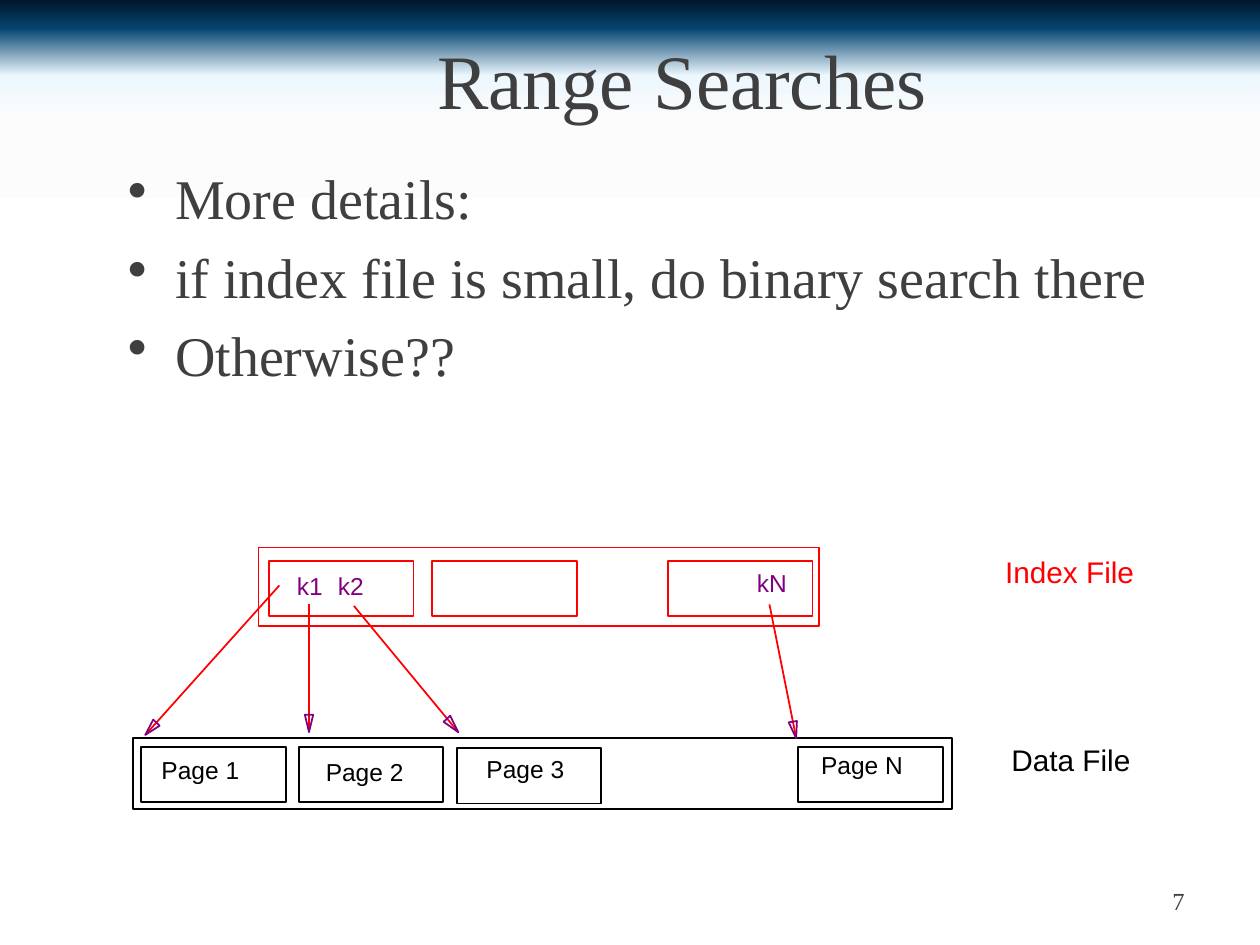
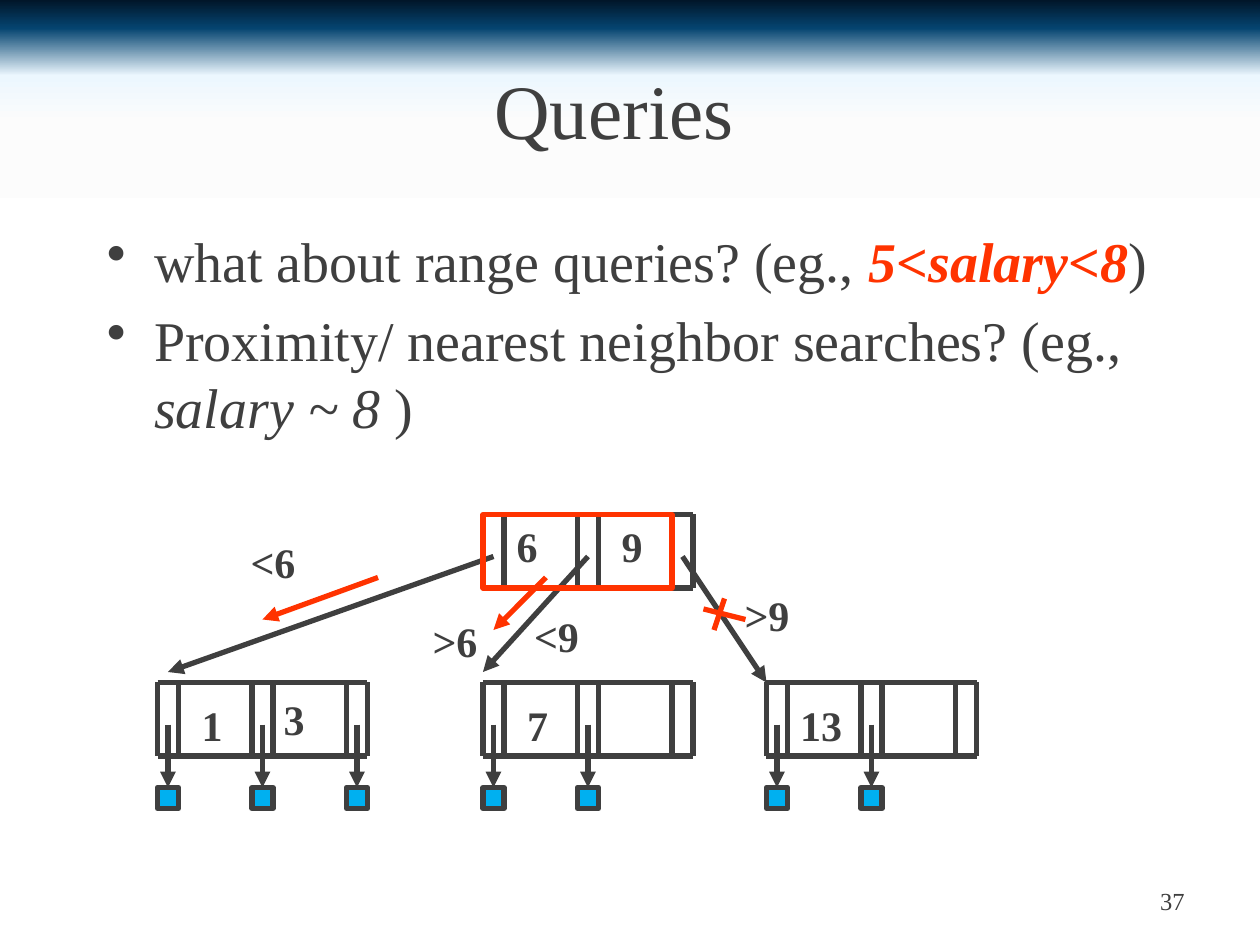
"""Build two slides on range searches: an index file over data pages and a tree query."""
from lxml import etree
from pptx import Presentation
from pptx.dml.color import RGBColor
from pptx.enum.shapes import MSO_CONNECTOR, MSO_SHAPE
from pptx.enum.text import MSO_ANCHOR, MSO_AUTO_SIZE, PP_ALIGN
from pptx.oxml.ns import qn
from pptx.util import Pt

COLORS = {
    "text": "3F3F3F", "black": "000000", "red": "FF0000", "purple": "800080",
    "accent": "FF3300", "record": "00B0F0",
}
RGB = {name: RGBColor.from_string(value) for name, value in COLORS.items()}
BACKGROUND_STOPS = [(0, "011629"), (3, "054470"), (8, "ECF7FE"),
                    (13, "FCFCFC"), (21, "FFFFFF"), (98, "FFFFFF")]
SERIF = {"name": "Times New Roman"}
TITLE = {**SERIF, "size": Pt(44)}
BODY = {**SERIF, "size": Pt(32)}
FOOTER = {**SERIF, "size": Pt(14)}
KEY = {**SERIF, "size": Pt(24), "bold": True}
LABEL = {"name": "Arial", "size": Pt(14)}
FILE_LABEL = {"name": "Arial", "size": Pt(17)}


def add_text(slide, box, paragraphs, style, color="text", align=PP_ALIGN.LEFT,
             anchor=MSO_ANCHOR.TOP, wrap=True, bullet=False):
    """Add a text box; each paragraph is a list of (text, color, extra style) runs."""
    frame = slide.shapes.add_textbox(*map(Pt, box)).text_frame
    frame.word_wrap = wrap
    frame.vertical_anchor = anchor
    frame.auto_size = MSO_AUTO_SIZE.NONE if wrap else MSO_AUTO_SIZE.SHAPE_TO_FIT_TEXT
    for index, runs in enumerate(paragraphs):
        paragraph = frame.paragraphs[0] if index == 0 else frame.add_paragraph()
        paragraph.alignment = align
        if bullet:
            properties = paragraph._p.get_or_add_pPr()
            properties.set("marL", str(Pt(27)))
            properties.set("indent", str(-Pt(27)))
            etree.SubElement(properties, qn("a:buChar"), char="•")
            if index:
                paragraph.space_before = Pt(6.4)
        for text, run_color, extra in runs:
            run = paragraph.add_run()
            run.text = text
            for name, value in {**style, **extra}.items():
                setattr(run.font, name, value)
            run.font.color.rgb = RGB[run_color or color]


def add_line(slide, start, end, color, width=3, arrow=False):
    """Add a straight connector from start to end, with an optional arrowhead."""
    line = slide.shapes.add_connector(MSO_CONNECTOR.STRAIGHT, *map(Pt, (*start, *end)))
    line.line.color.rgb = RGB[color]
    line.line.width = Pt(width)
    if arrow:
        etree.SubElement(line.line._get_or_add_ln(), qn("a:tailEnd"), type="triangle")
    etree.SubElement(line._element.spPr, qn("a:effectLst"))
    return line


presentation = Presentation()
presentation.slide_width, presentation.slide_height = Pt(720), Pt(540)

background = presentation.slide_master.background.fill
background.gradient()
gradient = background._xPr.find(qn("a:gradFill"))
for child in list(gradient):
    gradient.remove(child)
stops = etree.SubElement(gradient, qn("a:gsLst"))
for position, color in BACKGROUND_STOPS:
    stop = etree.SubElement(stops, qn("a:gs"), pos=str(position * 1000))
    etree.SubElement(stop, qn("a:srgbClr"), val=color)
etree.SubElement(gradient, qn("a:lin"), ang="5400000", scaled="0")

PAGES = [
    {"title": "Range Searches", "title_box": (84, 0, 612, 90), "number": "7",
     "body_box": (66, 90, 624, 396),
     "body": [[("More details:", None, {})],
              [("if index file is small, do binary search there", None, {})],
              [("Otherwise??", None, {})]]},
    {"title": "Queries", "title_box": (12, 21.6, 678, 81), "number": "37",
     "body_box": (54, 126, 642, 324),
     "body": [[("what about range queries? (eg., ", None, {}),
               ("5<salary<8", "accent", {"bold": True, "italic": True}),
               (")", None, {})],
              [("Proximity/ nearest neighbor searches? (eg., ", None, {}),
               ("salary ~ 8", None, {"italic": True}),
               (" )", None, {})]]},
]
slides = []
for page in PAGES:
    slide = presentation.slides.add_slide(presentation.slide_layouts[6])
    add_text(slide, (516, 500.4, 168, 28.8), [[(page["number"], None, {})]], FOOTER,
             align=PP_ALIGN.RIGHT, anchor=MSO_ANCHOR.MIDDLE)
    add_text(slide, page["title_box"], [[(page["title"], None, {})]], TITLE,
             align=PP_ALIGN.CENTER, anchor=MSO_ANCHOR.MIDDLE)
    add_text(slide, page["body_box"], page["body"], BODY, bullet=True)
    slides.append(slide)
range_slide, query_slide = slides

BLOCK_SIZE = (82.6, 31.5)
file_boxes = [("black", (76.2, 421.9, 467.8, 40.3)), ("red", (147.7, 312.9, 320.4, 45))]
file_boxes += [("black", (left, top, *BLOCK_SIZE)) for left, top in
               [(80.7, 427), (170.7, 427), (261, 427.6), (456.2, 427)]]
file_boxes += [("red", (left, 320.6, *BLOCK_SIZE)) for left in (153.8, 247, 381.8)]
for color, box in file_boxes:
    shape = range_slide.shapes.add_shape(MSO_SHAPE.RECTANGLE, *map(Pt, box))
    shape.shadow.inherit = False
    shape.fill.background()
    shape.line.color.rgb = RGB[color]
    shape.line.width = Pt(1)

file_pointers = [
    ((439.7, 345.4), (455, 421.9), [(455.4, 412), (450.7, 412.8)]),
    ((176.6, 344.9), (176.6, 418.4), [(179, 408.4), (174.2, 408.4)]),
    ((202.2, 346.2), (261.9, 418.4), [(257.3, 409), (253.5, 412.5)]),
    ((159.6, 334.6), (83, 420), [(91.2, 414.8), (87.6, 411.2)]),
]
for start, tip, wings in file_pointers:
    add_line(range_slide, start, tip, "red", width=1)
    builder = range_slide.shapes.build_freeform(*map(Pt, tip), scale=1.0)
    builder.add_line_segments([tuple(map(Pt, wing)) for wing in wings], close=True)
    head = builder.convert_to_shape()
    head.shadow.inherit = False
    head.fill.background()
    head.line.color.rgb = RGB["purple"]
    head.line.width = Pt(1)

file_labels = [
    ("Page 1", (85.2, 427.7, 59.8, 23.8), LABEL, "black"),
    ("Page 2", (179.1, 428.9, 59.8, 23.8), LABEL, "black"),
    ("Page 3", (270.9, 427.1, 59.8, 23.8), LABEL, "black"),
    ("Page N", (462.1, 424.8, 61.9, 23.8), LABEL, "black"),
    ("k1", (162.5, 322.5, 30.2, 23.8), LABEL, "purple"),
    ("k2", (186, 322.5, 30.2, 23.8), LABEL, "purple"),
    ("kN", (425.4, 320.9, 32.4, 23.8), LABEL, "purple"),
    ("Data File", (570.8, 420.5, 85.7, 27.4), FILE_LABEL, "black"),
    ("Index File", (567.2, 312.9, 92.9, 27.4), FILE_LABEL, "red"),
]
for text, box, style, color in file_labels:
    add_text(range_slide, box, [[(text, None, {})]], style, color, wrap=False)

NODE_WIDTH, NODE_HEIGHT, SLOT_WIDTH, SLOT_PITCH = 120, 42, 12, 54
ROOT_TOP, LEAF_TOP, RECORD_TOP = 294, 390, 450
nodes = [(276, ROOT_TOP, 0), (438, LEAF_TOP, 2), (276, LEAF_TOP, 2), (90, LEAF_TOP, 3)]
for left, top, record_count in nodes:
    bottom = top + NODE_HEIGHT
    for slot in range(3):
        for x in (left + slot * SLOT_PITCH, left + slot * SLOT_PITCH + SLOT_WIDTH):
            add_line(query_slide, (x, top), (x, bottom), "text")
    for y in (top, bottom):
        add_line(query_slide, (left, y), (left + NODE_WIDTH, y), "text")
    for slot in range(record_count):
        x = left + slot * SLOT_PITCH
        record = query_slide.shapes.add_shape(
            MSO_SHAPE.RECTANGLE, *map(Pt, (x, RECORD_TOP, SLOT_WIDTH, SLOT_WIDTH)))
        record.shadow.inherit = False
        record.fill.solid()
        record.fill.fore_color.rgb = RGB["record"]
        record.line.color.rgb = RGB["text"]
        record.line.width = Pt(3)
        middle = x + SLOT_WIDTH / 2
        pointer = add_line(query_slide, (middle, 414), (middle, RECORD_TOP), "text", arrow=True)
        pointer.end_connect(record, 0)

for start, end in [((282, 318), (96, 384)), ((336, 318), (276, 384)), ((390, 318), (438, 390))]:
    add_line(query_slide, start, end, "text", arrow=True)

tree_labels = [
    ("1", 108, 396, 26.4), ("3", 154.8, 393, 26.4), ("6", 288, 294, 26.4),
    ("7", 294, 396, 26.4), ("9", 348, 294, 26.4), ("13", 450, 396, 38.4),
    ("<6", 136, 303, 40), (">6", 240, 348, 40), ("<9", 298, 345.5, 40), (">9", 418.3, 333.4, 40),
]
for text, left, top, width in tree_labels:
    add_text(query_slide, (left, top, width, 36), [[(text, None, {})]], KEY,
             align=PP_ALIGN.CENTER, wrap=False)

visited = query_slide.shapes.add_shape(MSO_SHAPE.RECTANGLE, *map(Pt, (276, ROOT_TOP, 108, NODE_HEIGHT)))
visited.shadow.inherit = False
visited.fill.background()
visited.line.color.rgb = RGB["accent"]
visited.line.width = Pt(3)

search_marks = [((216, 330), (150, 354), True), ((312, 330), (282, 360), True),
                ((408, 360), (414, 342), False), ((402, 348), (426, 354), False)]
for start, end, arrow in search_marks:
    add_line(query_slide, start, end, "accent", arrow=arrow)

presentation.save("out.pptx")
